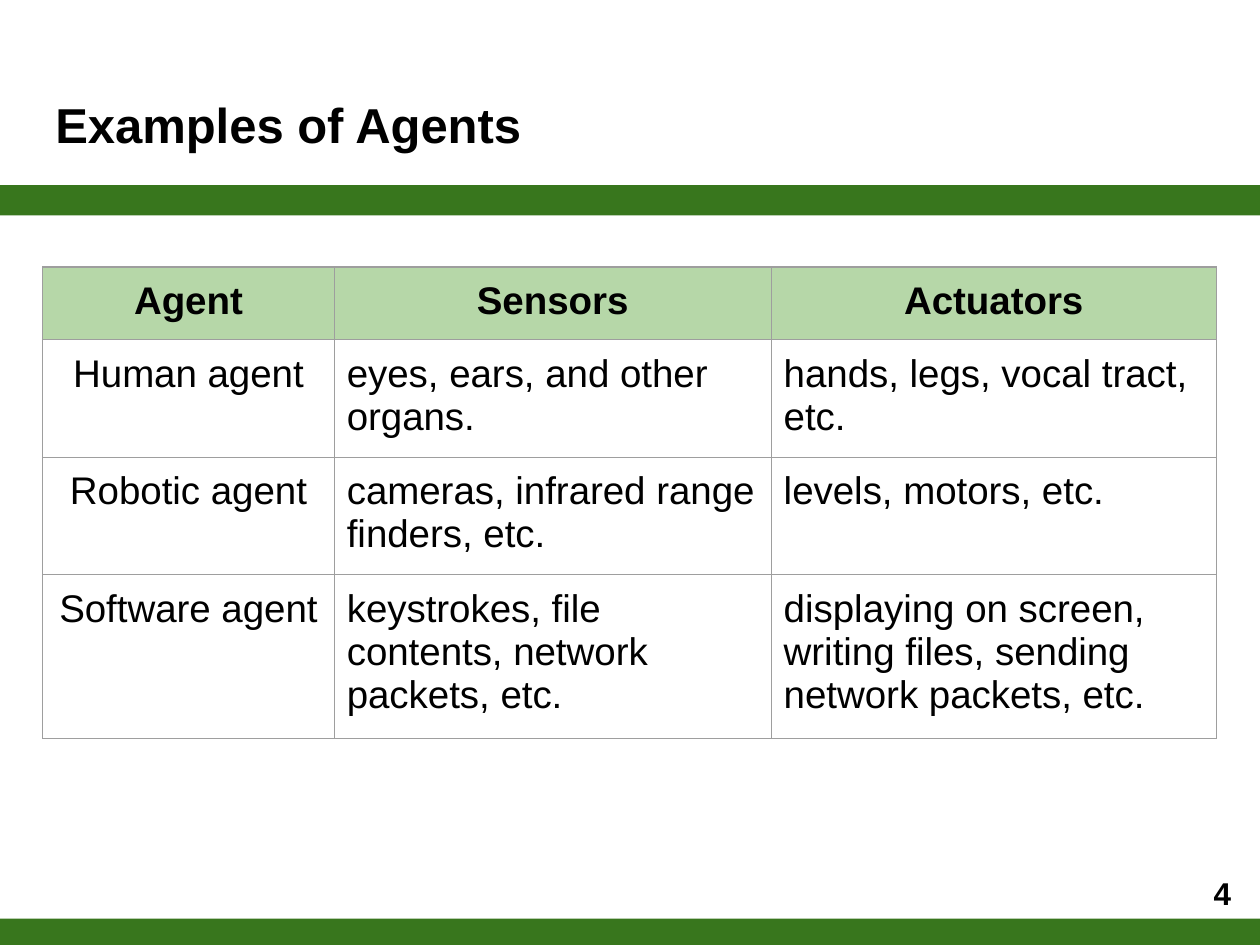
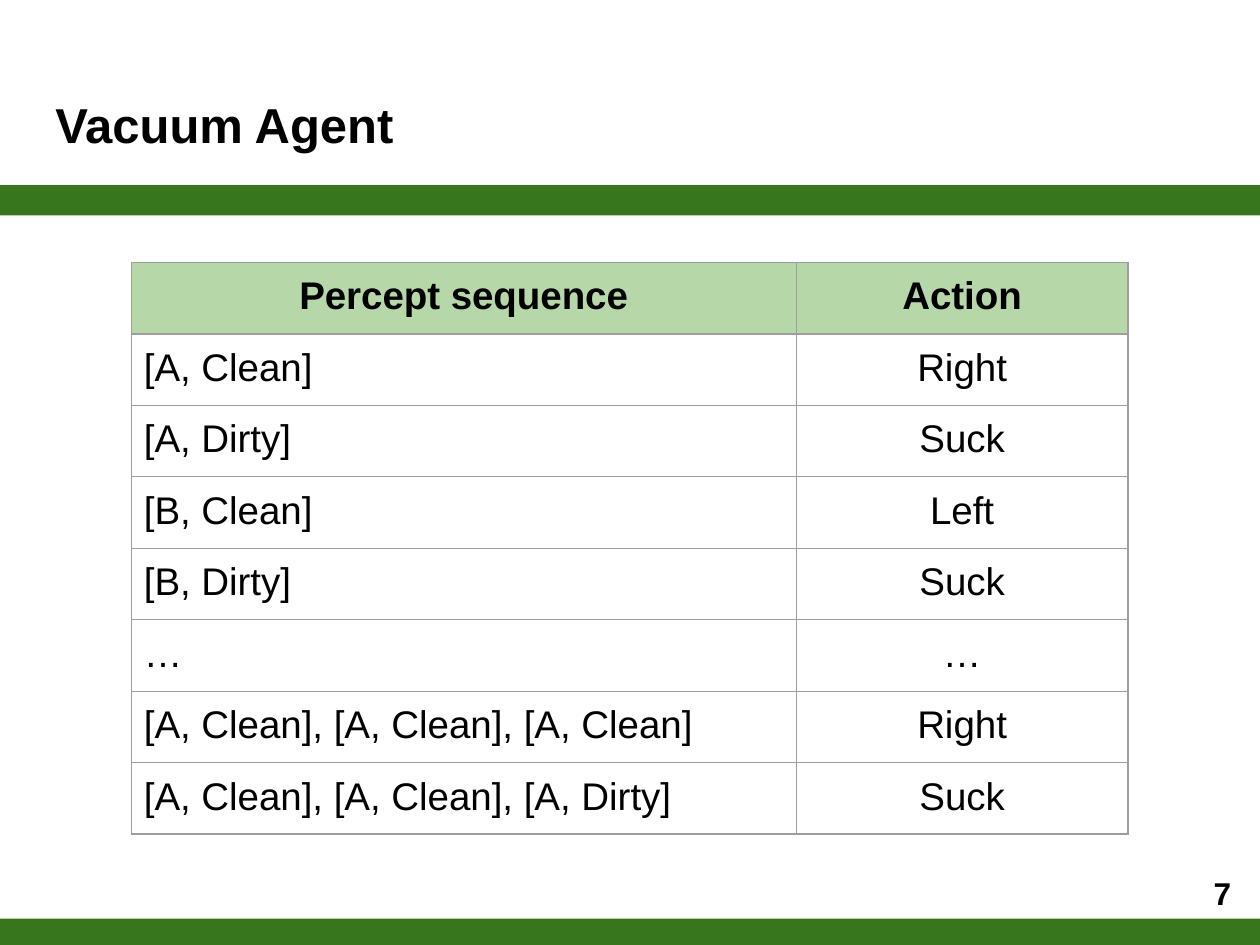
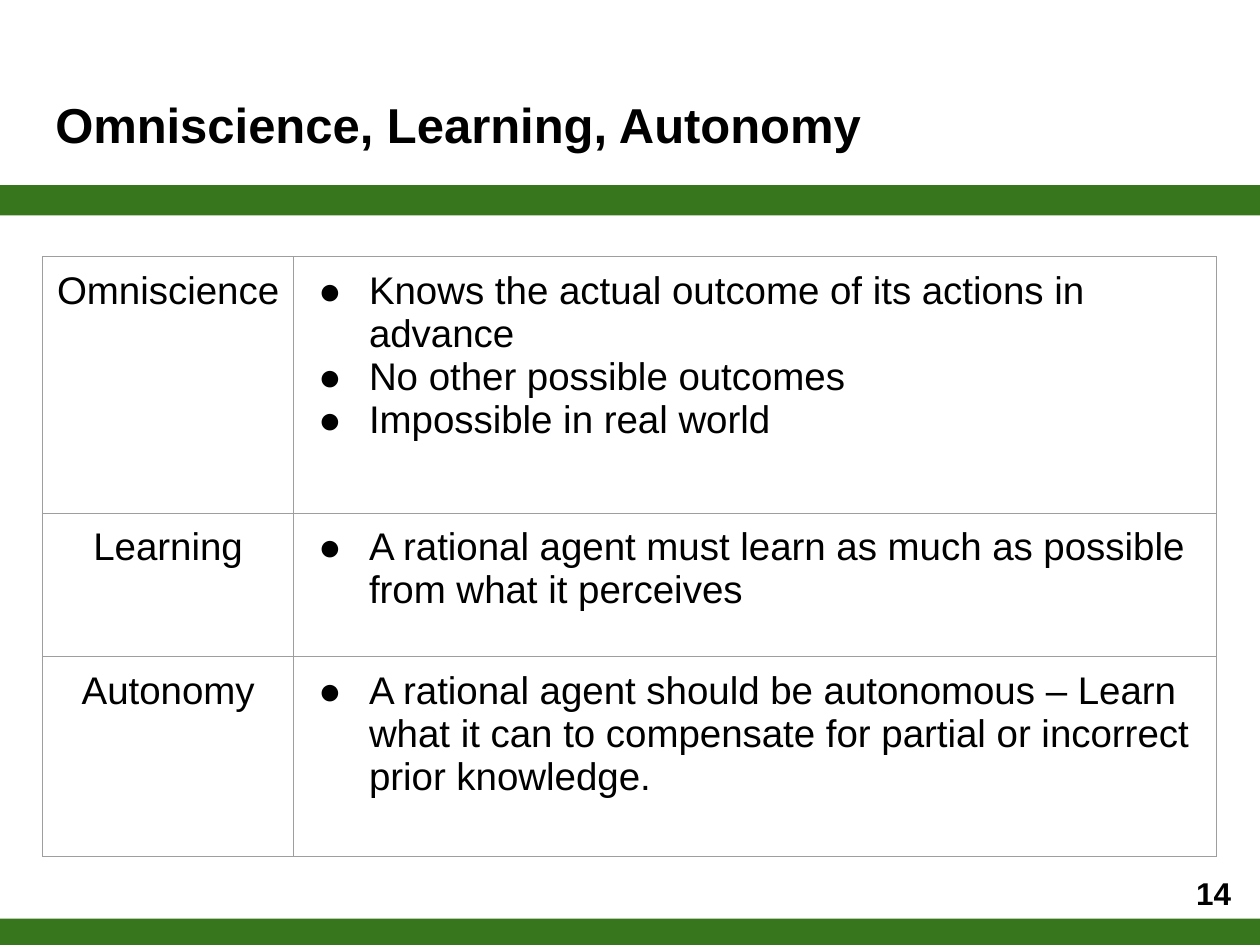
from lxml.etree import SubElement
from pptx import Presentation
from pptx.dml.color import RGBColor
from pptx.enum.shapes import MSO_SHAPE
from pptx.enum.text import MSO_ANCHOR, PP_ALIGN
from pptx.oxml.ns import qn
from pptx.util import Pt

COLORS = {"band": "38761D", "header": "B6D7A8", "border": "9E9E9E", "text": "000000"}
FONT = "Arial"
SLIDE_WIDTH, SLIDE_HEIGHT = 720, 540
INSET = 7.2
BAND_HEIGHT = 17.3
BAND_TOPS = (524.9, 105.8)
TABLE_SIZE = 22
BORDER_WIDTH = 0.75
BULLET_MARGIN, BULLET_HANG = 36, 29
CENTER, LEFT = PP_ALIGN.CENTER, PP_ALIGN.LEFT


def color(name):
    return RGBColor.from_string(COLORS[name])


def add_run(paragraph, text, size, bold=False):
    run = paragraph.add_run()
    run.text = text
    run.font.name = FONT
    run.font.size = Pt(size)
    run.font.bold = bold
    run.font.color.rgb = color("text")


def set_insets(holder):
    """Give a text frame or a table cell the same inset on all sides."""
    holder.margin_left = holder.margin_right = Pt(INSET)
    holder.margin_top = holder.margin_bottom = Pt(INSET)


def add_label(slide, box, text, size, align=LEFT, anchor=MSO_ANCHOR.TOP):
    frame = slide.shapes.add_textbox(*map(Pt, box)).text_frame
    frame.word_wrap = True
    frame.vertical_anchor = anchor
    set_insets(frame)
    paragraph = frame.paragraphs[0]
    paragraph.alignment = align
    add_run(paragraph, text, size, bold=True)


def add_band(slide, top):
    band = slide.shapes.add_shape(
        MSO_SHAPE.RECTANGLE, 0, Pt(top), Pt(SLIDE_WIDTH), Pt(BAND_HEIGHT))
    band.shadow.inherit = False
    band.fill.solid()
    band.fill.fore_color.rgb = color("band")
    band.line.fill.background()


def add_framed_slide(presentation, title, number):
    """Add a slide with its two bands, title and page number."""
    slide = presentation.slides.add_slide(presentation.slide_layouts[6])
    for top in BAND_TOPS:
        add_band(slide, top)
    add_label(slide, (24.5, 46.8, 671, 59.8), title, 28)
    add_label(slide, (667.4, 489.6, 43.2, 41), str(number), 18,
              PP_ALIGN.RIGHT, MSO_ANCHOR.MIDDLE)
    return slide


def add_bullet(paragraph):
    properties = paragraph._p.get_or_add_pPr()
    properties.set("marL", str(Pt(BULLET_MARGIN)))
    properties.set("indent", str(-Pt(BULLET_HANG)))
    bullet_color = SubElement(properties, qn("a:buClr"))
    SubElement(bullet_color, qn("a:srgbClr"), val=COLORS["text"])
    SubElement(properties, qn("a:buFont"), typeface=FONT)
    SubElement(properties, qn("a:buChar"), char="●")


def set_borders(cell):
    properties = cell._tc.get_or_add_tcPr()
    for side in ("lnL", "lnR", "lnT", "lnB"):
        line = SubElement(properties, qn(f"a:{side}"), w=str(Pt(BORDER_WIDTH)))
        fill = SubElement(line, qn("a:solidFill"))
        SubElement(fill, qn("a:srgbClr"), val=COLORS["border"])


def fill_cell(cell, content, align, is_header):
    """Write a string as plain text, or a list of strings as bullets."""
    set_insets(cell)
    set_borders(cell)
    if is_header:
        cell.fill.solid()
        cell.fill.fore_color.rgb = color("header")
    else:
        cell.fill.background()
    bulleted = isinstance(content, list)
    frame = cell.text_frame
    for index, text in enumerate(content if bulleted else [content]):
        paragraph = frame.add_paragraph() if index else frame.paragraphs[0]
        paragraph.alignment = CENTER if is_header else align
        if bulleted:
            add_bullet(paragraph)
        add_run(paragraph, text, TABLE_SIZE, bold=is_header)


def add_grid(slide, left, top, widths, heights, aligns, rows, has_header=True):
    table = slide.shapes.add_table(
        len(rows), len(widths), Pt(left), Pt(top),
        Pt(sum(widths)), Pt(sum(heights))).table
    table.first_row = has_header
    table.horz_banding = False
    for column, width in zip(table.columns, widths):
        column.width = Pt(width)
    for row_index, (height, contents) in enumerate(zip(heights, rows)):
        table.rows[row_index].height = Pt(height)
        for column_index, content in enumerate(contents):
            fill_cell(table.cell(row_index, column_index), content,
                      aligns[column_index], has_header and row_index == 0)


def add_agent_examples(presentation):
    slide = add_framed_slide(presentation, "Examples of Agents", 4)
    rows = [
        ("Agent", "Sensors", "Actuators"),
        ("Human agent", "eyes, ears, and other organs.",
         "hands, legs, vocal tract, etc."),
        ("Robotic agent", "cameras, infrared range finders, etc.",
         "levels, motors, etc."),
        ("Software agent", "keystrokes, file contents, network packets, etc.",
         "displaying on screen, writing files, sending network packets, etc."),
    ]
    add_grid(slide, 24.5, 152.6, (166.5, 249.7, 254.5), (41.5, 63.7, 63.8, 88),
             (CENTER, LEFT, LEFT), rows)


def add_vacuum_agent(presentation):
    slide = add_framed_slide(presentation, "Vacuum Agent", 7)
    rows = [
        ("Percept sequence", "Action"),
        ("[A, Clean]", "Right"),
        ("[A, Dirty]", "Suck"),
        ("[B, Clean]", "Left"),
        ("[B, Dirty]", "Suck"),
        ("…", "…"),
        ("[A, Clean], [A, Clean], [A, Clean]", "Right"),
        ("[A, Clean], [A, Clean], [A, Dirty]", "Suck"),
    ]
    add_grid(slide, 75, 150, (380, 189.6), [39] * len(rows), (LEFT, CENTER), rows)


def add_agent_qualities(presentation):
    slide = add_framed_slide(presentation, "Omniscience, Learning, Autonomy", 14)
    rows = [
        ("Omniscience", ["Knows the actual outcome of its actions in advance",
                         "No other possible outcomes",
                         "Impossible in real world"]),
        ("Learning", ["A rational agent must learn as much as possible "
                      "from what it perceives"]),
        ("Autonomy", ["A rational agent should be autonomous – Learn what it can "
                      "to compensate for partial or incorrect prior knowledge."]),
    ]
    add_grid(slide, 24.5, 146.6, (143.2, 527.6), (146.6, 82, 114.3),
             (CENTER, LEFT), rows, has_header=False)


def main():
    presentation = Presentation()
    presentation.slide_width = Pt(SLIDE_WIDTH)
    presentation.slide_height = Pt(SLIDE_HEIGHT)
    add_agent_examples(presentation)
    add_vacuum_agent(presentation)
    add_agent_qualities(presentation)
    presentation.save("out.pptx")


if __name__ == "__main__":
    main()
